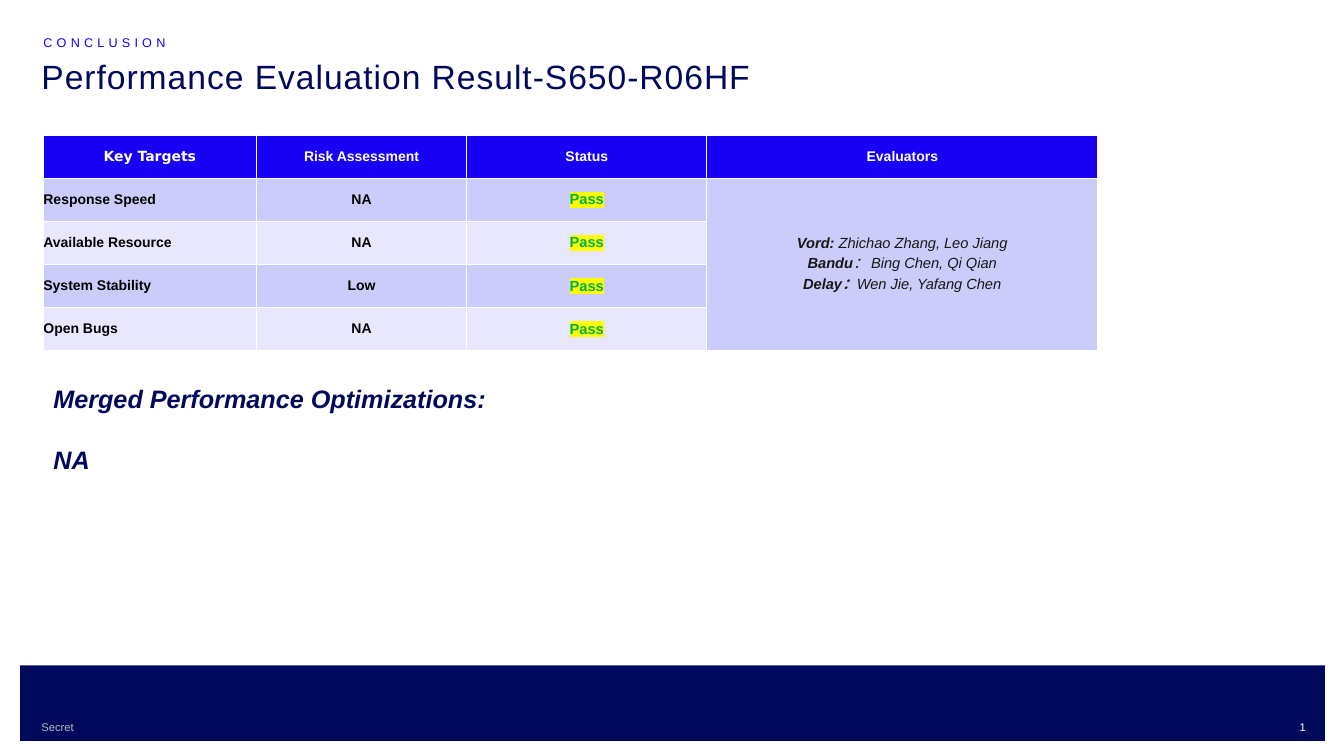
from lxml import etree
from pptx import Presentation
from pptx.dml.color import RGBColor
from pptx.enum.shapes import MSO_SHAPE
from pptx.enum.text import MSO_ANCHOR, PP_ALIGN
from pptx.oxml.ns import qn
from pptx.util import Inches, Pt

LEFT, CENTER, RIGHT = PP_ALIGN.LEFT, PP_ALIGN.CENTER, PP_ALIGN.RIGHT
MIDDLE, RECT = MSO_ANCHOR.MIDDLE, MSO_SHAPE.RECTANGLE

NAVY = RGBColor(0x00, 0x09, 0x5B)
BLUE = RGBColor(0x17, 0x00, 0xF3)
LILAC = RGBColor(0xCC, 0xCC, 0xFA)
PALE = RGBColor(0xE8, 0xE7, 0xFD)
GRAY = RGBColor(0xB9, 0xBC, 0xBD)
GREEN = RGBColor(0x00, 0xB0, 0x50)
YELLOW = RGBColor(0xFF, 0xFF, 0x00)
INK = RGBColor(0x18, 0x18, 0x18)
BLACK = RGBColor(0, 0, 0)
WHITE = RGBColor(0xFF, 0xFF, 0xFF)

deck = Presentation()
deck.slide_width, deck.slide_height = Inches(13.33), Inches(7.5)
slide = deck.slides.add_slide(deck.slide_layouts[6])

# Grid of 100 columns by 100 rows
COL, ROW = deck.slide_width / 100, deck.slide_height / 100


def place(left, top, width, height):
    return int(left * COL), int(top * ROW), int(width * COL), int(height * ROW)


def write(par, text, color, track=0, mark=None, **style):
    run = par.add_run()
    run.text = text
    run.font.color.rgb = color
    for key, value in ({"name": "Arial"} | style).items():
        setattr(run.font, key, value)
    props = run.font._element
    if track:
        props.set("spc", str(track))
    if mark:
        light = etree.Element(qn("a:highlight"))
        etree.SubElement(light, qn("a:srgbClr")).set("val", str(mark))
        props.find(qn("a:solidFill")).addnext(light)


# Footer band
band = slide.shapes.add_shape(RECT, *place(1.5, 88, 97.08, 10))
band.shadow.inherit = False
band.fill.solid()
band.fill.fore_color.rgb = NAVY
band.line.fill.background()

# Title, section name and footer texts
labels = [
    ("Performance Evaluation Result-S650-R06HF", (3.08, 7.33, 86.27, 10),
     LEFT, 0.9, {"color": NAVY, "size": Pt(24), "track": 70}),
    ("CONCLUSION", (3.23, 4.13, 37.2, 2.93),
     LEFT, 0.9, {"color": BLUE, "size": Pt(9), "track": 300}),
    ("Secret", (3.08, 94.67, 3.23, 3.2),
     LEFT, 1.0, {"color": GRAY, "size": Pt(8)}),
    ("1", (94.53, 94.67, 2.63, 3.2),
     RIGHT, 1.0, {"color": WHITE, "size": Pt(8)}),
]
for text, spot, align, space, style in labels:
    frame = slide.shapes.add_textbox(*place(*spot)).text_frame
    frame.word_wrap = text != "Secret"
    frame.margin_left = 0
    frame.margin_right = 0 if align == RIGHT else Inches(0.1)
    par = frame.paragraphs[0]
    par.alignment, par.line_spacing = align, space
    write(par, text, **style)

# Result table
rows = [
    ("Key Targets", "Risk Assessment", "Status", "Evaluators"),
    ("Response Speed", "NA", "Pass", ""),
    ("Available Resource", "NA", "Pass", ""),
    ("System Stability", "Low", "Pass", ""),
    ("Open Bugs", "NA", "Pass", ""),
]
widths = [15.83, 15.68, 17.85, 29.11]
spot = place(3.23, 17.87, sum(widths), 28.53)
table = slide.shapes.add_table(len(rows), len(widths), *spot).table
for col, width in zip(table.columns, widths):
    col.width = int(width * COL)
table.cell(1, 3).merge(table.cell(4, 3))

for r, row in enumerate(rows):
    for c, text in enumerate(row):
        cell = table.cell(r, c)
        cell.fill.solid()
        cell.fill.fore_color.rgb = BLUE if r == 0 else LILAC if r % 2 else PALE
        cell.vertical_anchor = MIDDLE
        for side in ("left", "right", "top", "bottom"):
            setattr(cell, "margin_" + side, 0)
        if not text:
            continue
        style = {"color": BLACK, "size": Pt(10), "bold": True}
        if r == 0:
            style |= {"color": WHITE, "name": "Arial" if c else "DejaVu Sans"}
        elif c == 2:
            style |= {"color": GREEN, "size": Pt(10.5), "mark": YELLOW}
        par = cell.text_frame.paragraphs[0]
        par.alignment = LEFT if r and c == 0 else CENTER
        write(par, text, **style)

# Evaluators in the merged cell
teams = [
    ("Vord: ", "Zhichao Zhang, Leo Jiang"),
    ("Bandu", "： Bing Chen, Qi Qian"),
    ("Delay：", "Wen Jie, Yafang Chen"),
]
frame = table.cell(1, 3).text_frame
for i, team in enumerate(teams):
    par = frame.add_paragraph() if i else frame.paragraphs[0]
    par.alignment = CENTER
    for text, bold in zip(team, (True, False)):
        write(par, text, INK, size=Pt(10.5), bold=bold, italic=True)

# Merged optimizations
frame = slide.shapes.add_textbox(*place(3.23, 50, 33.68, 13.47)).text_frame
frame.word_wrap = False
for i, text in enumerate(("Merged Performance Optimizations:", "NA")):
    par = frame.add_paragraph() if i else frame.paragraphs[0]
    if i:
        par.space_before = Pt(22)
    write(par, text, NAVY, size=Pt(18), bold=True, italic=True)

deck.save("out.pptx")
